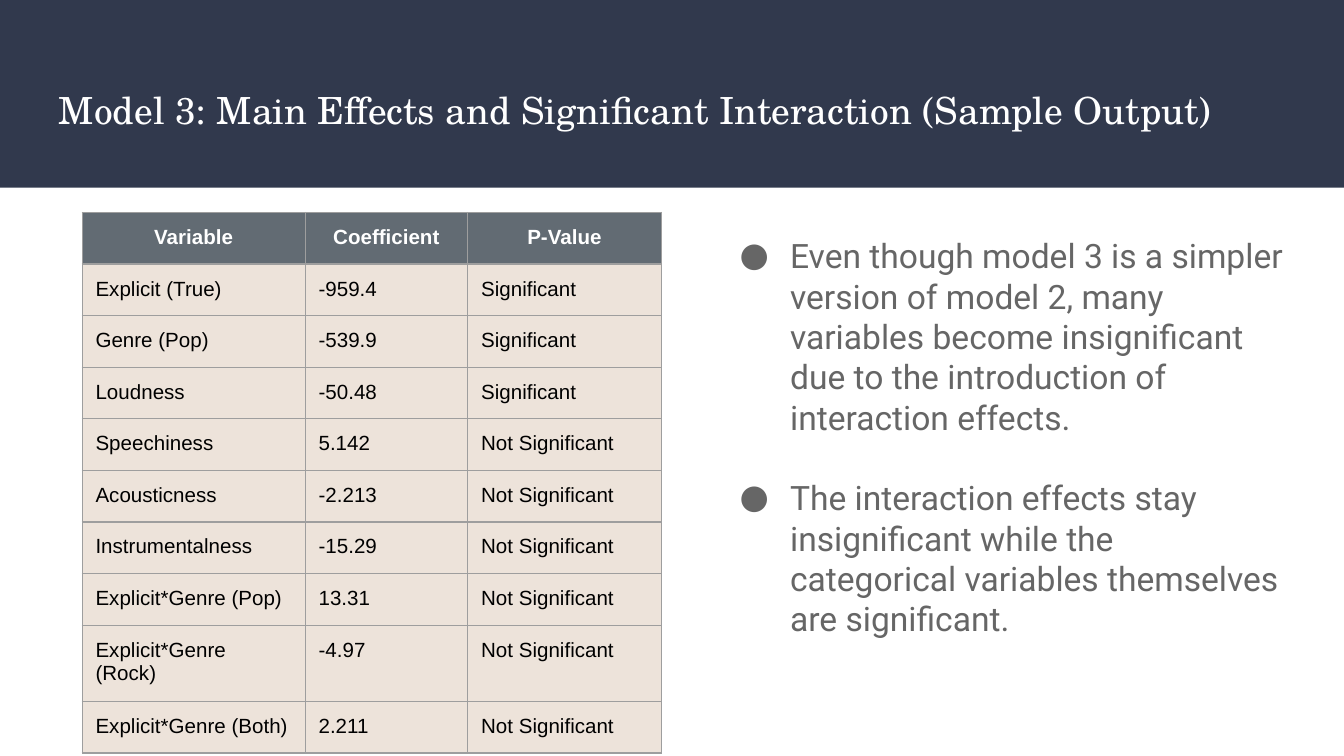
import pptx
import pptx.dml.color
import pptx.enum.shapes
import pptx.enum.text
import pptx.oxml.ns
import pptx.util
from lxml import etree

Pt = pptx.util.Pt
qn = pptx.oxml.ns.qn
ALIGN = pptx.enum.text.PP_ALIGN
INSET = 7.2

TITLE = "Model 3: Main Effects and Significant Interaction (Sample Output)"
HEADINGS = ("Variable", "Coefficient", "P-Value")
RESULTS = (
    ("Explicit (True)", "-959.4", "Significant"),
    ("Genre (Pop)", "-539.9", "Significant"),
    ("Loudness", "-50.48", "Significant"),
    ("Speechiness", "5.142", "Not Significant"),
    ("Acousticness", "-2.213", "Not Significant"),
    ("Instrumentalness", "-15.29", "Not Significant"),
    ("Explicit*Genre (Pop)", "13.31", "Not Significant"),
    ("Explicit*Genre (Rock)", "-4.97", "Not Significant"),
    ("Explicit*Genre (Both)", "2.211", "Not Significant"),
)
FINDINGS = (
    "Even though model 3 is a simpler version of model 2, many variables become "
    "insignificant due to the introduction of interaction effects.",
    "The interaction effects stay insignificant while the categorical variables "
    "themselves are significant.",
)
TITLE_FORMAT = {"name": "TeX Gyre Schola", "size": Pt(20), "color": "FFFFFF"}
HEADING_FORMAT = {"name": "Arial", "size": Pt(11), "bold": True, "color": "FFFFFF"}
RESULT_FORMAT = {"name": "Arial", "size": Pt(11), "bold": False, "color": "000000"}
FINDING_FORMAT = {"name": "Roboto", "size": Pt(18), "color": "666666"}


def paint(target, color):
    if hasattr(target, "solid"):
        target.solid()
        target = target.fore_color
    target.rgb = pptx.dml.color.RGBColor.from_string(color)


def write(para, text, style):
    span = para.add_run()
    span.text = text
    for name, value in style.items():
        if name == "color":
            paint(span.font.color, value)
        else:
            setattr(span.font, name, value)


def set_margins(target):
    for side in ("left", "top", "right", "bottom"):
        setattr(target, f"margin_{side}", Pt(INSET))


def add_text_frame(page, left, top, width, height):
    box = page.shapes.add_textbox(Pt(left), Pt(top), Pt(width), Pt(height))
    frame = box.text_frame
    frame.word_wrap = True
    set_margins(frame)
    return frame


def add_solid(parent, tag, color):
    holder = etree.SubElement(parent, qn(tag))
    etree.SubElement(holder, qn("a:srgbClr"), val=color)


def add_borders(cell, color, width):
    properties = cell._tc.get_or_add_tcPr()
    for side in "LRTB":
        line = etree.SubElement(properties, qn(f"a:ln{side}"), w=str(Pt(width)))
        add_solid(line, "a:solidFill", color)


def add_bullet(para, color, font):
    properties = para._p.get_or_add_pPr()
    properties.set("marL", str(Pt(36)))
    properties.set("indent", str(Pt(-27)))
    add_solid(properties, "a:buClr", color)
    etree.SubElement(properties, qn("a:buFont"), typeface=font)
    etree.SubElement(properties, qn("a:buChar"), char="●")


def add_header(page, left, top, width, height):
    band = page.shapes.add_shape(
        pptx.enum.shapes.MSO_SHAPE.RECTANGLE, Pt(left), Pt(top), Pt(width), Pt(height)
    )
    band.shadow.inherit = False
    paint(band.fill, "31394D")
    band.line.fill.background()
    frame = add_text_frame(page, left + 24.5, top + 39.6, width - 49, 49)
    write(frame.paragraphs[0], TITLE, TITLE_FORMAT)


def add_results(page, left, top, widths, row_height):
    rows = (HEADINGS, *RESULTS)
    table = page.shapes.add_table(
        len(rows), len(widths), Pt(left), Pt(top), Pt(sum(widths)), Pt(row_height * len(rows))
    ).table
    table.horz_banding = False
    for column, width in zip(table.columns, widths):
        column.width = Pt(width)
    for index, (row, texts) in enumerate(zip(table.rows, rows)):
        row.height = Pt(row_height)
        heading = index == 0
        for cell, text in zip(row.cells, texts):
            set_margins(cell)
            add_borders(cell, "9E9E9E", 0.75)
            paint(cell.fill, "626B73" if heading else "EDE3DA")
            para = cell.text_frame.paragraphs[0]
            para.alignment = ALIGN.CENTER if heading else ALIGN.LEFT
            write(para, text, HEADING_FORMAT if heading else RESULT_FORMAT)


def add_findings(page, left, top, width, height):
    frame = add_text_frame(page, left, top, width, height)
    for index, text in enumerate(FINDINGS):
        para = frame.add_paragraph() if index else frame.paragraphs[0]
        if index:
            para.space_before = Pt(21.6)
        add_bullet(para, FINDING_FORMAT["color"], FINDING_FORMAT["name"])
        write(para, text, FINDING_FORMAT)


def main():
    deck = pptx.Presentation()
    deck.slide_width, deck.slide_height = Pt(720), Pt(405)
    page = deck.slides.add_slide(deck.slide_layouts[6])
    add_header(page, 0, 0, 720, 100.5)
    add_results(page, 44, 113.8, (119.5, 87.1, 103.7), 27.3)
    add_findings(page, 380.2, 118.8, 314.6, 272.2)
    deck.save("out.pptx")


if __name__ == "__main__":
    main()
